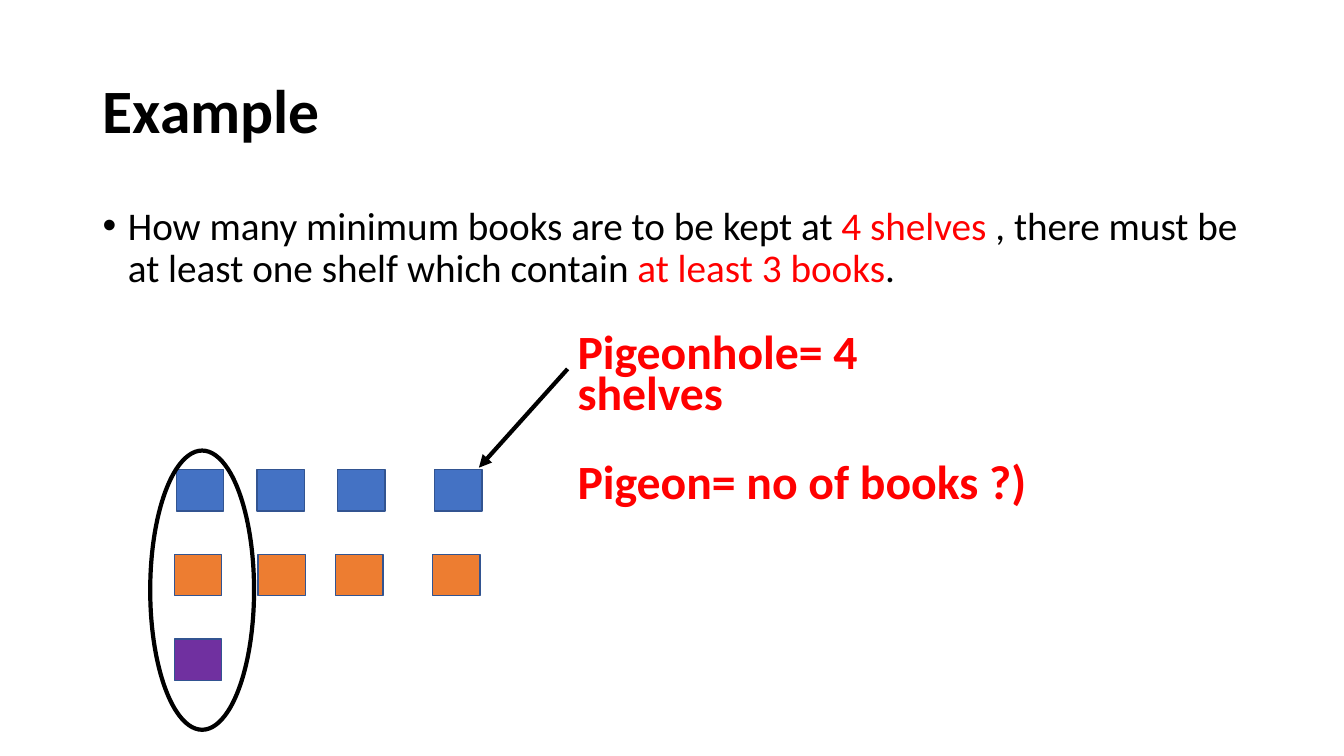
from lxml import etree
from pptx import Presentation
from pptx.dml.color import RGBColor
from pptx.enum import shapes, text
from pptx.oxml.ns import qn
from pptx.util import Inches, Pt

BLACK = RGBColor(0x00, 0x00, 0x00)
RED = RGBColor(0xFF, 0x00, 0x00)
BLUE = RGBColor(0x44, 0x72, 0xC4)
ORANGE = RGBColor(0xED, 0x7D, 0x31)
PURPLE = RGBColor(0x70, 0x30, 0xA0)
OUTLINE = RGBColor(0x32, 0x54, 0x91)


def add_text(page, area, spans, size, bold, spacing, anchor):
    box = page.shapes.add_textbox(*map(Inches, area))
    box.text_frame.word_wrap = True
    box.text_frame.vertical_anchor = anchor
    para = box.text_frame.paragraphs[0]
    para.line_spacing = spacing
    for words, color in spans:
        span = para.add_run()
        span.text = words
        span.font.name = "Calibri"
        span.font.size = Pt(size)
        span.font.bold = bold
        span.font.color.rgb = color
    return para


def add_outlined(page, kind, area, color, width):
    shape = page.shapes.add_shape(kind, *map(Inches, area))
    shape.shadow.inherit = False
    shape.line.color.rgb = color
    shape.line.width = Pt(width)
    return shape


deck = Presentation()
deck.slide_width = Inches(13.33)
deck.slide_height = Inches(7.5)
page = deck.slides.add_slide(deck.slide_layouts[6])

middle = text.MSO_ANCHOR.MIDDLE
add_text(page, (0.92, 0.4, 11.5, 1.45), [("Example", BLACK)], 44, True, 0.9, middle)

question = [
    ("How many minimum books are to be kept at ", BLACK),
    ("4 shelves ", RED),
    (", there must be at least one shelf which contain ", BLACK),
    ("at least 3 books", RED),
    (".", BLACK),
]
para = add_text(page, (0.92, 2, 11.5, 5.24), question, 28, False, 0.9, text.MSO_ANCHOR.TOP)
props = para._p.get_or_add_pPr()
props.set("marL", str(Inches(0.25)))
props.set("indent", str(Inches(-0.25)))
etree.SubElement(props, qn("a:buFont")).set("typeface", "Arial")
etree.SubElement(props, qn("a:buChar")).set("char", "•")

arrow = page.shapes.add_connector(
    shapes.MSO_CONNECTOR.STRAIGHT, Inches(5.63), Inches(3.66), Inches(4.75), Inches(4.64)
)
arrow.line.color.rgb = BLACK
arrow.line.width = Pt(3)
etree.SubElement(arrow.line._get_or_add_ln(), qn("a:tailEnd")).set("type", "triangle")
etree.SubElement(arrow._element.spPr, qn("a:effectLst"))

for words, top, width in [
    ("Pigeonhole= 4 shelves", 3.28, 4.46),
    ("Pigeon= no of books ?)", 4.37, 4.76),
]:
    add_text(page, (5.63, top, width, 0.94), [(words, RED)], 34.1, True, 0.7, middle)

book_rows = [
    (BLUE, [1.75, 2.55, 3.35, 4.31]),
    (ORANGE, [1.73, 2.56, 3.33, 4.29]),
    (PURPLE, [1.73]),
]
for row, (color, lefts) in enumerate(book_rows):
    for left in lefts:
        area = (left, 4.66 + row * 0.84, 0.47, 0.41)
        book = add_outlined(page, shapes.MSO_SHAPE.RECTANGLE, area, OUTLINE, 1)
        book.fill.solid()
        book.fill.fore_color.rgb = color

full_shelf = add_outlined(page, shapes.MSO_SHAPE.OVAL, (1.49, 4.47, 1.03, 2.77), BLACK, 3)
full_shelf.fill.background()

deck.save("out.pptx")
